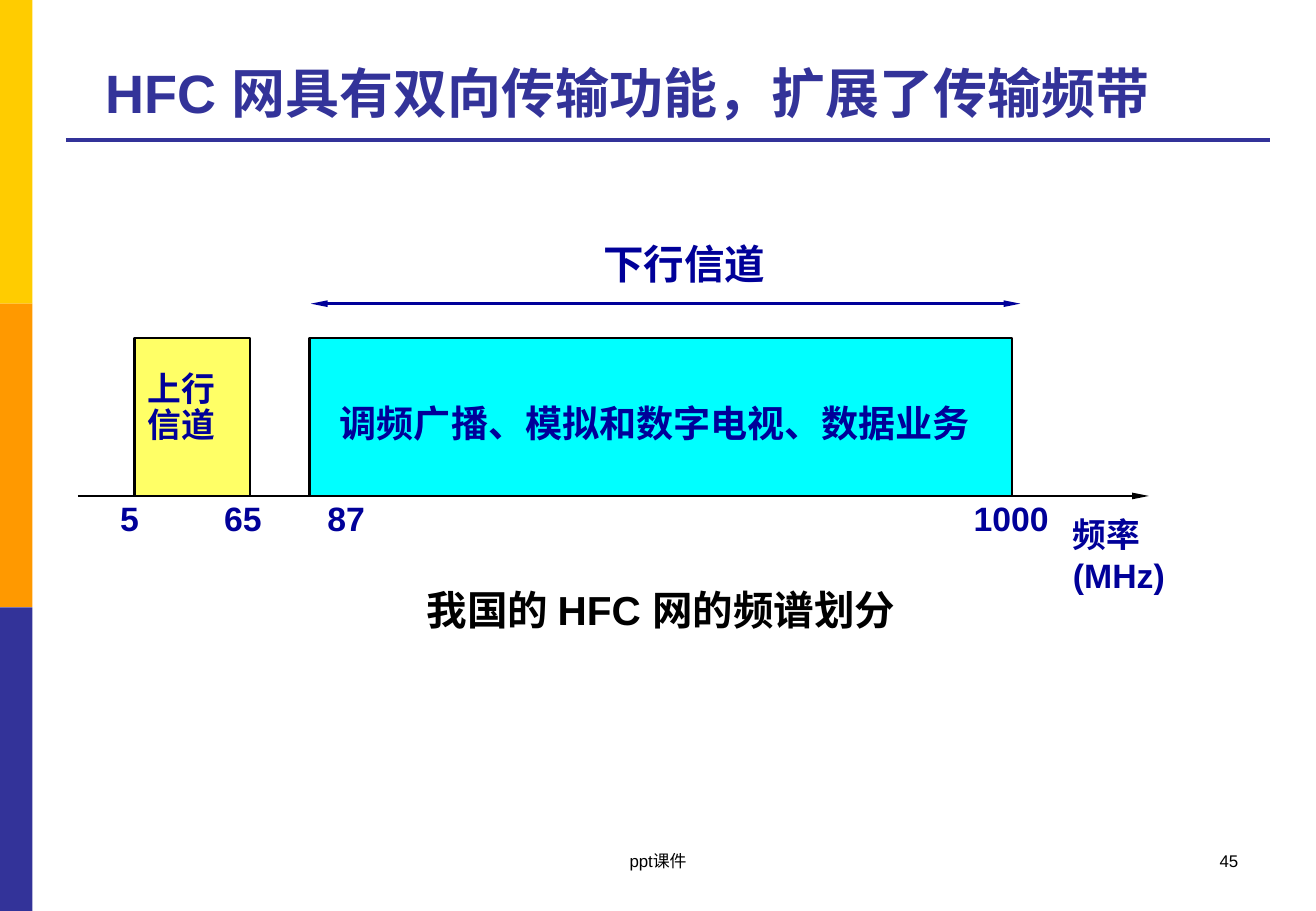
from typing import NamedTuple

from lxml import etree
from pptx import Presentation
from pptx.dml.color import RGBColor
from pptx.enum.shapes import MSO_CONNECTOR, MSO_SHAPE
from pptx.enum.text import MSO_ANCHOR, MSO_AUTO_SIZE, PP_ALIGN
from pptx.oxml.ns import qn
from pptx.slide import Slide
from pptx.text.text import TextFrame
from pptx.util import Emu, Pt

RECTANGLE = MSO_SHAPE.RECTANGLE
STRAIGHT = MSO_CONNECTOR.STRAIGHT
LEFT, CENTER, RIGHT = PP_ALIGN.LEFT, PP_ALIGN.CENTER, PP_ALIGN.RIGHT
TOP, BOTTOM = MSO_ANCHOR.TOP, MSO_ANCHOR.BOTTOM
NO_AUTOFIT = MSO_AUTO_SIZE.NONE

EMU_PER_PX = 7620
SLIDE_WIDTH, SLIDE_HEIGHT = 1300, 900
SIDEBAR_WIDTH = 32
BAND_TOP, AXIS_Y = 334, 490
FONT = "Arial"
COLORS = {
    "gold": "FFCC00",
    "orange": "FF9900",
    "indigo": "333399",
    "navy": "000099",
    "yellow": "FFFF66",
    "cyan": "00FFFF",
    "black": "000000",
}


class Box(NamedTuple):
    left: int
    top: int
    width: int
    height: int
    fill: str
    outline: str | None = None


class Rule(NamedTuple):
    left: int
    right: int
    y: int
    color: str
    weight: float
    arrow_ends: tuple[str, ...] = ()


class Label(NamedTuple):
    text: str
    left: int
    top: int
    width: int
    height: int
    size: int
    color: str = "navy"
    align: PP_ALIGN = LEFT
    bold: bool = True
    line_spacing: float = 1.0


SIDEBAR_COLORS = ("gold", "orange", "indigo")
BANDS = (
    Box(133, BAND_TOP, 114, AXIS_Y - BAND_TOP, "yellow", "black"),
    Box(306, BAND_TOP, 694, AXIS_Y - BAND_TOP, "cyan", "black"),
)
RULES = (
    Rule(65, 1255, 138, "indigo", 2.25),
    Rule(307, 1008, 300, "navy", 1.5, ("headEnd", "tailEnd")),
    Rule(77, 1135, AXIS_Y, "black", 1.5, ("tailEnd",)),
)
FREQUENCY_CENTERS = {"5": 128, "65": 240, "87": 342, "1000": 999}
FREQUENCY_WIDTH = 110
TITLE = Label("HFC 网具有双向传输功能，扩展了传输频带", 26, 25, 1189, 104, 32, "indigo", CENTER)
LABELS = (
    Label("下行信道", 574, 230, 204, 60, 24, align=CENTER),
    Label("上行\n信道", 134, 362, 109, 85, 20, line_spacing=0.9),
    Label("调频广播、模拟和数字电视、数据业务", 324, 390, 658, 56, 22),
    Label("频率(MHz)", 1048, 502, 124, 92, 20),
    Label("我国的 HFC 网的频谱划分", 306, 572, 694, 60, 24, "black", CENTER),
    Label("45", 931, 834, 304, 60, 10, "black", RIGHT, False),
    Label("ppt课件", 444, 834, 412, 60, 10, "black", CENTER, False),
)


def px(length: int) -> Emu:
    return Emu(length * EMU_PER_PX)


def rgb(name: str) -> RGBColor:
    return RGBColor.from_string(COLORS[name])


def draw_box(slide: Slide, box: Box) -> None:
    shape = slide.shapes.add_shape(
        RECTANGLE, px(box.left), px(box.top), px(box.width), px(box.height)
    )
    shape.shadow.inherit = False
    shape.fill.solid()
    shape.fill.fore_color.rgb = rgb(box.fill)
    if box.outline:
        shape.line.color.rgb = rgb(box.outline)
        shape.line.width = Pt(1.5)
    else:
        shape.line.fill.background()


def draw_rule(slide: Slide, rule: Rule) -> None:
    connector = slide.shapes.add_connector(
        STRAIGHT, px(rule.left), px(rule.y), px(rule.right), px(rule.y)
    )
    connector.line.color.rgb = rgb(rule.color)
    connector.line.width = Pt(rule.weight)
    line_xml = connector.line._get_or_add_ln()
    for end in rule.arrow_ends:
        etree.SubElement(line_xml, qn(f"a:{end}"), type="triangle", w="sm", len="lg")
    etree.SubElement(connector._element.spPr, qn("a:effectLst"))


def write_text(frame: TextFrame, label: Label, anchor: MSO_ANCHOR) -> None:
    frame.text = label.text
    frame.word_wrap = True
    frame.auto_size = NO_AUTOFIT
    frame.vertical_anchor = anchor
    for paragraph in frame.paragraphs:
        paragraph.alignment = label.align
        paragraph.line_spacing = label.line_spacing
        paragraph.font.name = FONT
        paragraph.font.size = Pt(label.size)
        paragraph.font.bold = label.bold
        paragraph.font.color.rgb = rgb(label.color)


def draw_label(slide: Slide, label: Label) -> None:
    box = slide.shapes.add_textbox(
        px(label.left), px(label.top), px(label.width), px(label.height)
    )
    write_text(box.text_frame, label, TOP)


def draw_title(slide: Slide, label: Label) -> None:
    title = slide.shapes.title
    title.left, title.top = px(label.left), px(label.top)
    title.width, title.height = px(label.width), px(label.height)
    write_text(title.text_frame, label, BOTTOM)


def main() -> None:
    deck = Presentation()
    deck.slide_width, deck.slide_height = px(SLIDE_WIDTH), px(SLIDE_HEIGHT)
    slide = deck.slides.add_slide(deck.slide_layouts[5])

    draw_title(slide, TITLE)
    stripe_height = SLIDE_HEIGHT // len(SIDEBAR_COLORS)
    for index, color in enumerate(SIDEBAR_COLORS):
        draw_box(slide, Box(0, index * stripe_height, SIDEBAR_WIDTH, stripe_height, color))
    for band in BANDS:
        draw_box(slide, band)
    for rule in RULES:
        draw_rule(slide, rule)
    for label in LABELS:
        draw_label(slide, label)
    for frequency, center in FREQUENCY_CENTERS.items():
        left = center - FREQUENCY_WIDTH // 2
        draw_label(slide, Label(frequency, left, 486, FREQUENCY_WIDTH, 53, 20, align=CENTER))

    deck.save("out.pptx")


if __name__ == "__main__":
    main()
